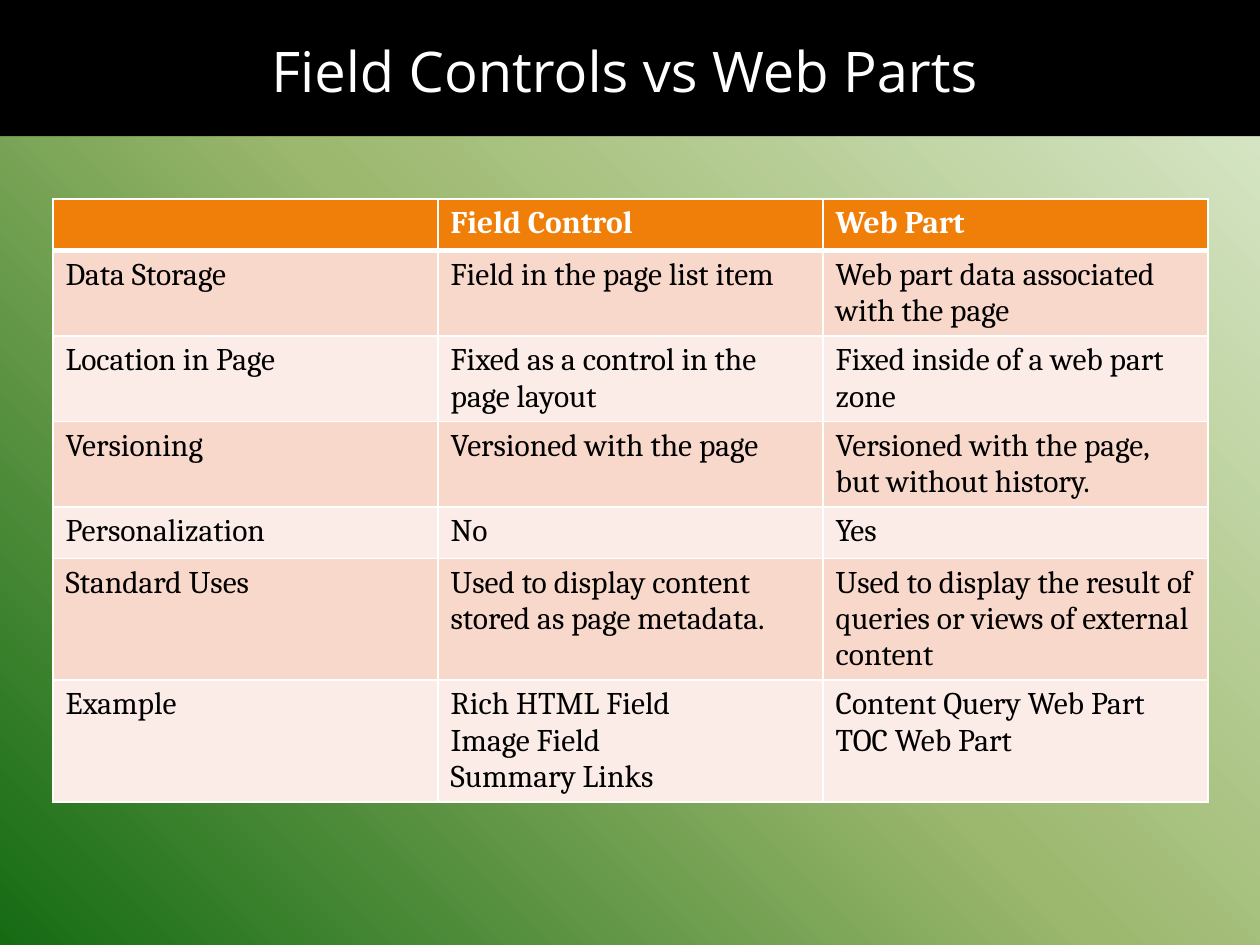
from lxml.etree import SubElement
from pptx import Presentation
from pptx.dml.color import RGBColor
from pptx.enum.shapes import MSO_SHAPE
from pptx.enum.text import MSO_ANCHOR, PP_ALIGN
from pptx.oxml.ns import qn
from pptx.util import Inches, Pt

WHITE, BLACK, ORANGE = "FFFFFF", "000000", "F07F09"
BANDS = ("F9D8CC", "FCECE7")
BACKGROUND = ((0, "DDEBCF"), (50, "9CB86E"), (100, "156B13"))
ROWS = (
    ("", "Field Control", "Web Part"),
    ("Data Storage", "Field in the page list item",
     "Web part data associated with the page"),
    ("Location in Page", "Fixed as a control in the page layout",
     "Fixed inside of a web part zone"),
    ("Versioning", "Versioned with the page",
     "Versioned with the page, but without history."),
    ("Personalization", "No", "Yes"),
    ("Standard Uses", "Used to display content stored as page metadata.",
     "Used to display the result of queries or views of external content"),
    ("Example", "Rich HTML Field\nImage Field\nSummary Links",
     "Content Query Web Part\nTOC Web Part"),
)


def rgb(color):
    return RGBColor.from_string(color)


def set_font(p, name, size, color, bold=False):
    p.font.name = name
    p.font.size = Pt(size)
    p.font.bold = bold
    p.font.color.rgb = rgb(color)


def set_background(slide):
    fill = slide.background.fill
    fill.gradient()
    fill.gradient_angle = 225
    stops = slide.background._cSld.find(".//" + qn("a:gsLst"))
    for stop in list(stops):
        stops.remove(stop)
    for percent, color in BACKGROUND:
        stop = SubElement(stops, qn("a:gs"), pos=str(percent * 1000))
        SubElement(stop, qn("a:srgbClr"), val=color)


def add_title_bar(slide):
    """Put the black band behind everything else on the slide."""
    bar = slide.shapes.add_shape(MSO_SHAPE.RECTANGLE, 0, 0, Inches(10), Inches(1.08))
    bar.shadow.inherit = False
    bar.fill.solid()
    bar.fill.fore_color.rgb = rgb(BLACK)
    bar.line.fill.background()
    slide.shapes._spTree.insert(2, bar._element)


def set_title(slide, text):
    title = slide.shapes.title
    title.left, title.top = Inches(0.17), Inches(0.17)
    title.width, title.height = Inches(9.58), Inches(0.78)
    tf = title.text_frame
    tf.text = text
    tf.vertical_anchor = MSO_ANCHOR.MIDDLE
    p = tf.paragraphs[0]
    p.alignment = PP_ALIGN.CENTER
    set_font(p, "Open Sans", 32, WHITE)


def set_borders(cell, top, bottom):
    """Draw white cell borders; top and bottom are widths in points."""
    tc_pr = cell._tc.get_or_add_tcPr()
    for side, width in (("L", 1), ("R", 1), ("T", top), ("B", bottom)):
        ln = SubElement(tc_pr, qn("a:ln" + side), w=str(Pt(width)))
        SubElement(SubElement(ln, qn("a:solidFill")), qn("a:srgbClr"), val=WHITE)


def fill_cell(cell, text, row):
    header = row == 0
    set_borders(cell, 3 if row == 1 else 1, 3 if header else 1)
    cell.fill.solid()
    cell.fill.fore_color.rgb = rgb(ORANGE if header else BANDS[(row - 1) % 2])
    cell.text = text
    for p in cell.text_frame.paragraphs:
        set_font(p, "Cambria", 18, WHITE if header else BLACK, header)


def add_comparison_table(slide):
    table = slide.shapes.add_table(
        len(ROWS), len(ROWS[0]), Inches(0.42), Inches(1.58),
        Inches(9.17), Inches(0.41 * len(ROWS))).table
    for r, texts in enumerate(ROWS):
        for c, text in enumerate(texts):
            fill_cell(table.cell(r, c), text, r)


def main():
    prs = Presentation()
    prs.slide_width, prs.slide_height = Inches(10), Inches(7.5)
    slide = prs.slides.add_slide(prs.slide_layouts[5])
    set_background(slide)
    add_title_bar(slide)
    set_title(slide, "Field Controls vs Web Parts")
    add_comparison_table(slide)
    prs.save("out.pptx")


if __name__ == "__main__":
    main()
